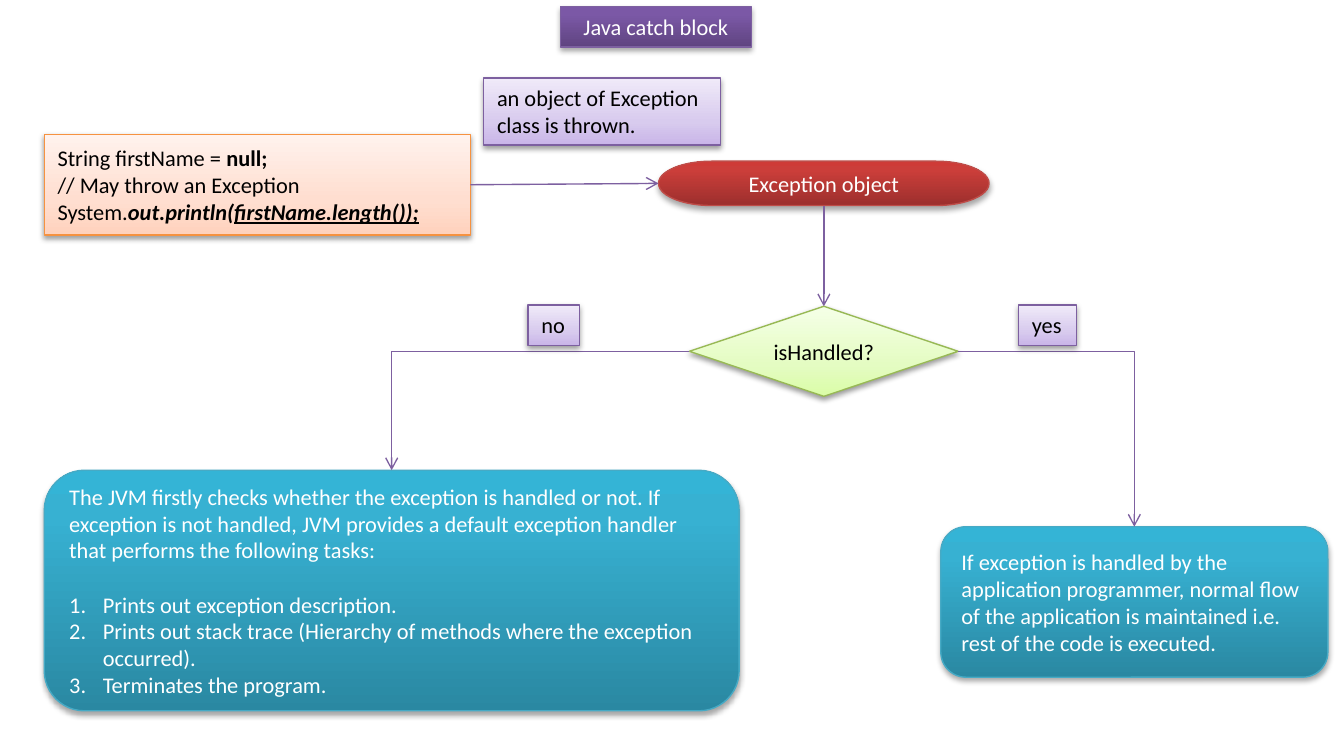
from dataclasses import dataclass

from lxml import etree
from pptx import Presentation
from pptx.dml.color import RGBColor
from pptx.enum.dml import MSO_THEME_COLOR
from pptx.enum.shapes import MSO_CONNECTOR, MSO_SHAPE
from pptx.enum.text import MSO_ANCHOR, MSO_AUTO_SIZE, PP_ALIGN
from pptx.oxml import parse_xml
from pptx.oxml.ns import nsdecls, qn
from pptx.util import Inches, Pt

RECT = MSO_SHAPE.RECTANGLE
PROCESS = MSO_SHAPE.FLOWCHART_PROCESS
ROUNDED = MSO_SHAPE.FLOWCHART_ALTERNATE_PROCESS
TERMINATOR = MSO_SHAPE.FLOWCHART_TERMINATOR
DECISION = MSO_SHAPE.FLOWCHART_DECISION
STRAIGHT, ELBOW = MSO_CONNECTOR.STRAIGHT, MSO_CONNECTOR.ELBOW
TOP, MIDDLE = MSO_ANCHOR.TOP, MSO_ANCHOR.MIDDLE
LEFT, CENTER = PP_ALIGN.LEFT, PP_ALIGN.CENTER
FIT_SHAPE, NO_FIT = MSO_AUTO_SIZE.SHAPE_TO_FIT_TEXT, MSO_AUTO_SIZE.NONE
BLACK, WHITE = MSO_THEME_COLOR.TEXT_1, MSO_THEME_COLOR.BACKGROUND_1
# connection sites of a flowchart shape
SITE_TOP, SITE_LEFT, SITE_BOTTOM, SITE_RIGHT = range(4)


@dataclass(frozen=True)
class Look:
    """Gradient from bottom to top, outline and text colour of a box."""
    colors: tuple
    line: str
    text: MSO_THEME_COLOR

    @property
    def is_intense(self):
        return self.text == WHITE


@dataclass(frozen=True)
class Theme:
    font: str = "Calibri"
    size: float = 12
    line_width: float = 0.75
    paragraph_gap: float = 14.6
    arrow: str = "7D60A0"
    title: Look = Look(("5F4480", "7B58A6", "7C57A8"), "7D60A0", WHITE)
    label: Look = Look(("C9B5E8", "D8CBEE", "F0EAF9"), "7D60A0", BLACK)
    code: Look = Look(("FFD2BD", "FFDED0", "FFF2ED"), "F69240", BLACK)
    thrown: Look = Look(("9C2F2D", "CB3E3A", "CE3B37"), "BF4C48", WHITE)
    decision: Look = Look(("DAFDA7", "E4FCC2", "F5FFE7"), "98B955", BLACK)
    outcome: Look = Look(("2A88A2", "37B1D2", "34B4D6"), "46AAC5", WHITE)


def write(tf, paragraphs, *, font, size, color, align=LEFT, anchor=MIDDLE,
          wrap=True, fit=NO_FIT, gap=0, numbered_from=None):
    """Fill tf; a paragraph is a string or a list of (text, font flags).

    Paragraphs from index numbered_from on form a numbered list, set off by gap.
    """
    tf.word_wrap, tf.auto_size, tf.vertical_anchor = wrap, fit, anchor
    for i, runs in enumerate(paragraphs):
        p = tf.paragraphs[0] if i == 0 else tf.add_paragraph()
        p.alignment = align
        if numbered_from is not None and i >= numbered_from:
            pPr = p._p.get_or_add_pPr()
            pPr.set("marL", str(Inches(0.25)))
            pPr.set("indent", str(Inches(-0.25)))
            etree.SubElement(pPr, qn("a:buFont"), typeface="+mj-lt")
            etree.SubElement(pPr, qn("a:buAutoNum"), type="arabicPeriod")
            if i == numbered_from:
                p.space_before = Pt(gap)
        for text, flags in [(runs, {})] if isinstance(runs, str) else runs:
            r = p.add_run()
            r.text = text
            r.font.name, r.font.size = font, Pt(size)
            r.font.color.theme_color = color
            for flag, value in flags.items():
                setattr(r.font, flag, value)


class Flowchart:
    def __init__(self, slide, theme):
        self.s, self.theme = slide, theme

    def dress(self, sp, look, paragraphs, **fmt):
        sp.fill.gradient()
        sp.fill.gradient_angle = 90
        stops = sp._element.spPr.find(qn("a:gradFill")).find(qn("a:gsLst"))
        for stop in list(stops):
            stops.remove(stop)
        for pos, color in zip((0, 80 if look.is_intense else 35, 100), look.colors):
            gs = etree.SubElement(stops, qn("a:gs"), pos=str(pos * 1000))
            etree.SubElement(gs, qn("a:srgbClr"), val=color)
        self.outline(sp, look.line)
        alpha, dist = (35, 1.8) if look.is_intense else (38, 1.6)
        sp._element.spPr.append(parse_xml(
            f'<a:effectLst {nsdecls("a")}><a:outerShdw blurRad="{Pt(3.1)}" '
            f'dist="{Pt(dist)}" dir="5400000" rotWithShape="0"><a:srgbClr val="000000">'
            f'<a:alpha val="{alpha * 1000}"/></a:srgbClr></a:outerShdw></a:effectLst>'))
        write(sp.text_frame, paragraphs, font=self.theme.font, size=self.theme.size,
              color=look.text, **fmt)
        return sp

    def outline(self, sp, color):
        sp.line.color.rgb = RGBColor.from_string(color)
        sp.line.width = Pt(self.theme.line_width)

    def title(self, text, x, y, w, h):
        sp = self.s.shapes.title
        sp.left, sp.top, sp.width, sp.height = map(Inches, (x, y, w, h))
        self.dress(sp, self.theme.title, [text], align=CENTER)

    def box(self, kind, look, paragraphs, x, y, w, h, **fmt):
        sp = self.s.shapes.add_shape(kind, *map(Inches, (x, y, w, h)))
        return self.dress(sp, look, paragraphs, **fmt)

    def label(self, paragraphs, x, y, w, h):
        self.box(RECT, self.theme.label, paragraphs, x, y, w, h,
                 anchor=TOP, wrap=False, fit=FIT_SHAPE)

    def arrow(self, kind, start, start_site, end, end_site):
        c = self.s.shapes.add_connector(kind, 0, 0, 0, 0)
        c.begin_connect(start, start_site)
        c.end_connect(end, end_site)
        self.outline(c, self.theme.arrow)
        spPr = c._element.spPr
        if kind == ELBOW:  # a single bend instead of two
            spPr.find(qn("a:prstGeom")).set("prst", "bentConnector2")
        etree.SubElement(spPr.find(qn("a:ln")), qn("a:tailEnd"), type="arrow")
        etree.SubElement(spPr, qn("a:effectLst"))


def main():
    prs = Presentation()
    prs.slide_width, prs.slide_height = Inches(10), Inches(5.5)
    theme = Theme()
    chart = Flowchart(prs.slides.add_slide(prs.slide_layouts[5]), theme)

    chart.title("Java catch block", 4.17, 0.05, 1.42, 0.3)
    bold_italic = {"bold": True, "italic": True}
    code = chart.box(PROCESS, theme.code, [
        [("String firstName = ", {}), ("null;", {"bold": True})],
        "// May throw an Exception",
        [("System.", {}), ("out.println(", bold_italic),
         ("firstName.length());", {**bold_italic, "underline": True})],
    ], 0.33, 1, 3.17, 0.75)
    thrown = chart.box(TERMINATOR, theme.thrown, ["Exception object"],
                       4.9, 1.2, 2.46, 0.33, align=CENTER)
    decision = chart.box(DECISION, theme.decision, ["isHandled?"],
                         5.13, 2.28, 2, 0.67, align=CENTER)
    handled = chart.box(ROUNDED, theme.outcome, [
        "If exception is handled by the application programmer, normal flow of "
        "the application is maintained i.e. rest of the code is executed.",
    ], 7, 3.92, 2.88, 1.12)
    unhandled = chart.box(ROUNDED, theme.outcome, [
        "The JVM firstly checks whether the exception is handled or not. If "
        "exception is not handled, JVM provides a default exception handler "
        "that performs the following tasks:",
        "Prints out exception description.",
        "Prints out stack trace (Hierarchy of methods where the exception occurred).",
        "Terminates the program.",
    ], 0.33, 3.5, 5.17, 1.79, numbered_from=1, gap=theme.paragraph_gap)

    chart.arrow(ELBOW, decision, SITE_RIGHT, handled, SITE_TOP)
    chart.arrow(ELBOW, decision, SITE_LEFT, unhandled, SITE_TOP)
    chart.arrow(STRAIGHT, thrown, SITE_BOTTOM, decision, SITE_TOP)
    chart.arrow(STRAIGHT, code, SITE_RIGHT, thrown, SITE_LEFT)

    chart.label(["yes"], 7.58, 2.27, 0.43, 0.3)
    chart.label(["no"], 3.93, 2.27, 0.38, 0.3)
    chart.label(["an object of Exception", "class is thrown."], 3.6, 0.58, 1.76, 0.5)
    prs.save("out.pptx")


if __name__ == "__main__":
    main()
